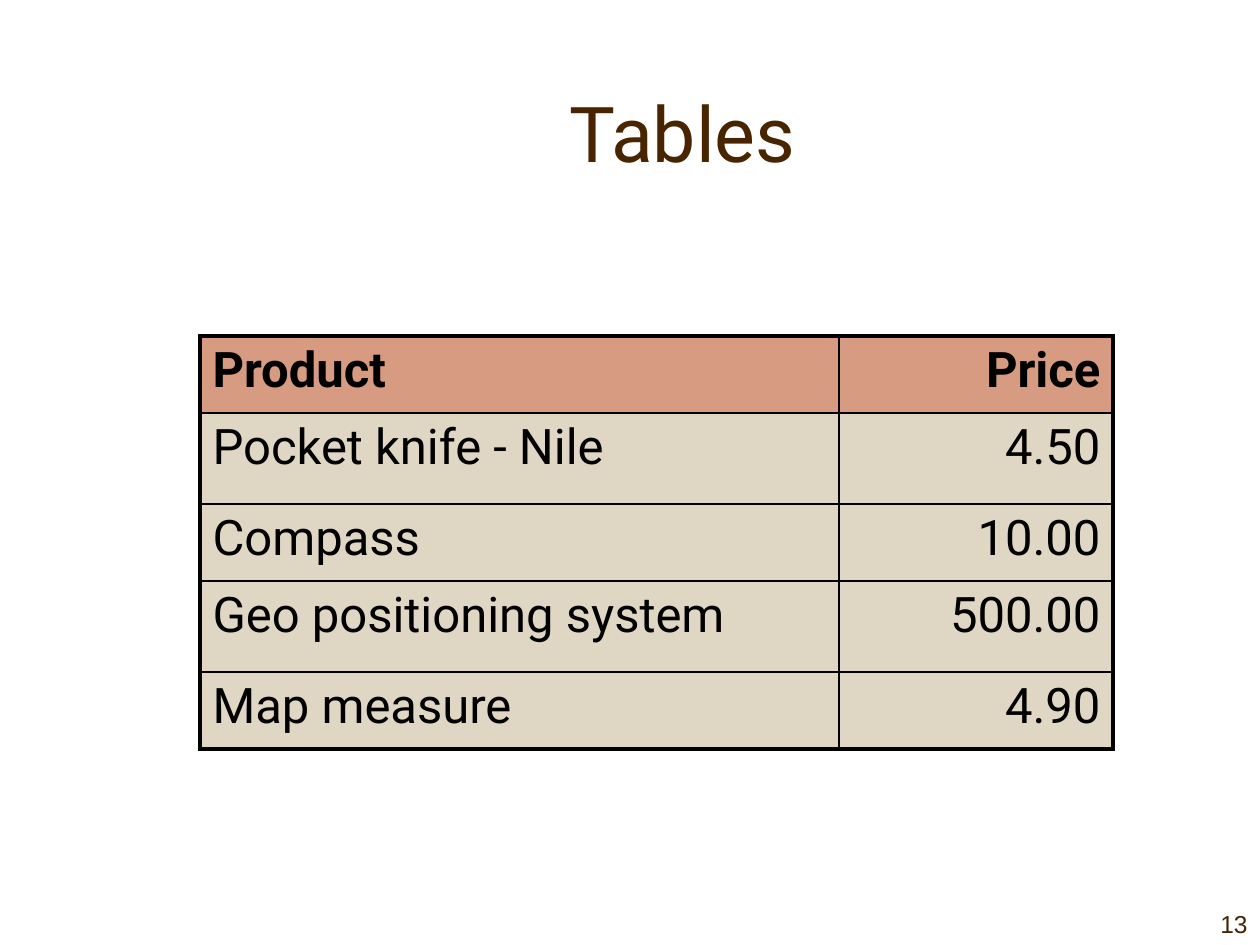
import pptx
import pptx.dml.color
import pptx.enum.text
import pptx.oxml.ns
import pptx.util
from lxml import etree

PX = 914400 / 126
INK, BROWN = "000000", "482400"
HEADER_FILL, BODY_FILL = "D69B80", "DFD6C3"
THICK, THIN = pptx.util.Pt(2.25), pptx.util.Pt(1)
qn = pptx.oxml.ns.qn
ALIGN = pptx.enum.text.PP_ALIGN
ANCHOR = pptx.enum.text.MSO_ANCHOR


def px(length):
    return pptx.util.Emu(round(length * PX))


def add_run(paragraph, text, font, size, color, bold=False):
    run = paragraph.add_run()
    run.text = text
    run.font.name = font
    run.font.size = pptx.util.Pt(size)
    run.font.bold = bold
    run.font.color.rgb = pptx.dml.color.RGBColor.from_string(color)


prs = pptx.Presentation()
prs.slide_width, prs.slide_height = px(1260), px(945)
slide = prs.slides.add_slide(prs.slide_layouts[5])

# Page number
number = slide.shapes.add_textbox(px(1134), px(882), px(126), px(63)).text_frame
number.word_wrap = True
number.vertical_anchor = ANCHOR.BOTTOM
number.paragraphs[0].alignment = ALIGN.RIGHT
add_run(number.paragraphs[0], "13", "Arial", 14, BROWN)

# Title
title = slide.shapes.title
title.left, title.top, title.width, title.height = px(147), px(53), px(1071), px(158)
title.text_frame.vertical_anchor = ANCHOR.MIDDLE
title.text_frame.paragraphs[0].alignment = ALIGN.CENTER
add_run(title.text_frame.paragraphs[0], "Tables", "Roboto", 44, BROWN)

# Price table
products = [
    ("Product", "Price"),
    ("Pocket knife - Nile", "4.50"),
    ("Compass", "10.00"),
    ("Geo positioning system", "500.00"),
    ("Map measure", "4.90"),
]
column_widths = [639, 274]
row_heights = [77, 91, 77, 91, 77]
prices = slide.shapes.add_table(
    len(products), 2, px(200), px(336), px(sum(column_widths)), px(sum(row_heights))
).table
for column, width in zip(prices.columns, column_widths):
    column.width = px(width)
for row, height in zip(prices.rows, row_heights):
    row.height = px(height)

last_row = len(products) - 1
for r, product in enumerate(products):
    for c, text in enumerate(product):
        cell = prices.cell(r, c)
        paragraph = cell.text_frame.paragraphs[0]
        paragraph.alignment = ALIGN.RIGHT if c else ALIGN.LEFT
        add_run(paragraph, text, "Roboto", 28, INK, bold=r == 0)
        # Space before each line is 20 % of the text size
        before = etree.SubElement(paragraph._p.get_or_add_pPr(), qn("a:spcBef"))
        etree.SubElement(before, qn("a:spcPct"), val="20000")

        # Thick outer frame, thin inner rules
        cell_properties = cell._tc.get_or_add_tcPr()
        outer_edges = {"L": c == 0, "R": c == 1, "T": r == 0, "B": r == last_row}
        for side, is_outer in outer_edges.items():
            border = etree.SubElement(
                cell_properties, qn("a:ln" + side), w=str(THICK if is_outer else THIN)
            )
            border_fill = etree.SubElement(border, qn("a:solidFill"))
            etree.SubElement(border_fill, qn("a:srgbClr"), val=INK)

        cell.fill.solid()
        cell.fill.fore_color.rgb = pptx.dml.color.RGBColor.from_string(
            BODY_FILL if r else HEADER_FILL
        )

prs.save("out.pptx")
